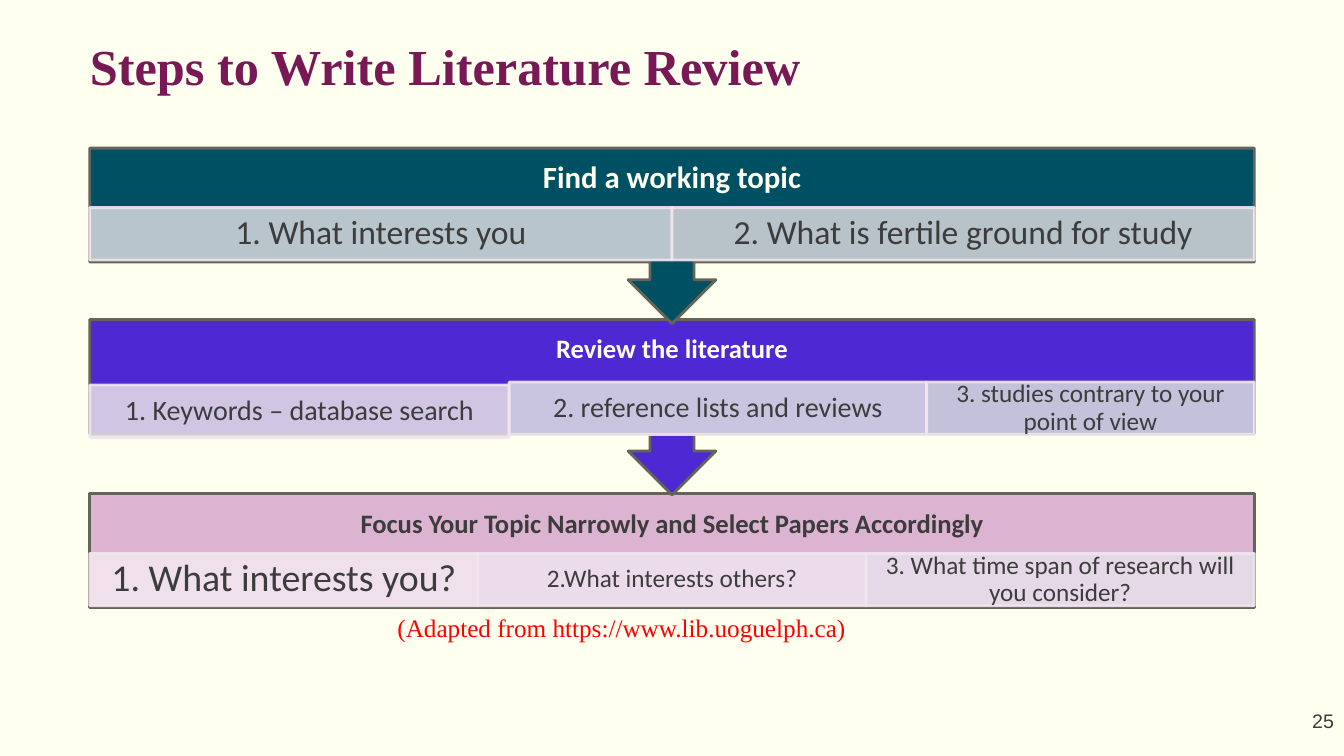
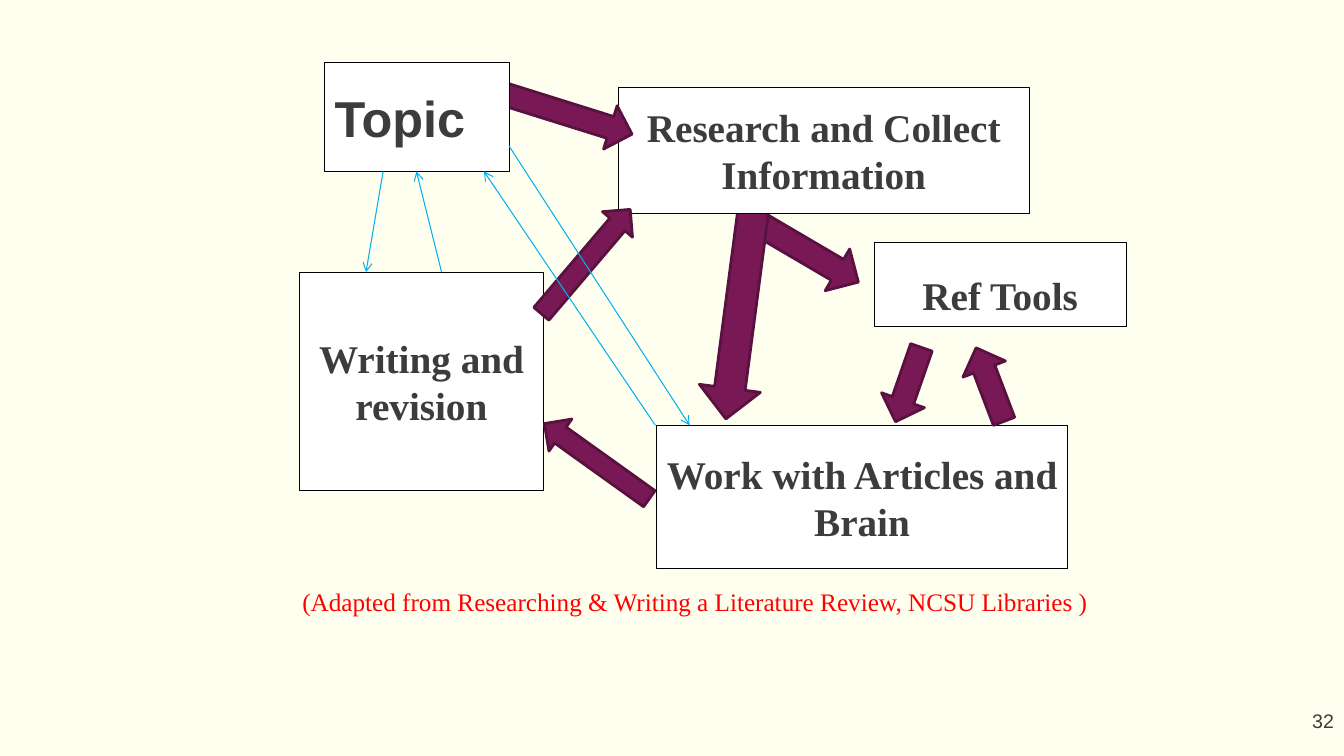
import pptx
import pptx.util
import pptx.dml.color
import pptx.enum.shapes
import pptx.enum.text
import pptx.oxml
import pptx.oxml.ns

Inches = pptx.util.Inches
Pt = pptx.util.Pt
RGBColor = pptx.dml.color.RGBColor
SHAPE = pptx.enum.shapes.MSO_SHAPE
ALIGN = pptx.enum.text.PP_ALIGN
ANCHOR = pptx.enum.text.MSO_ANCHOR
qn = pptx.oxml.ns.qn

IVORY = RGBColor(0xFF, 0xFF, 0xF0)
PLUM = RGBColor(0x78, 0x19, 0x55)
DARK_PLUM = RGBColor(0x59, 0x12, 0x3F)
CHARCOAL = RGBColor(0x3C, 0x3C, 0x3C)
GREY = RGBColor(0x64, 0x64, 0x5A)
TEAL = RGBColor(0x00, 0x50, 0x64)
VIOLET = RGBColor(0x4E, 0x28, 0xD2)
PINK = RGBColor(0xDC, 0xB4, 0xD2)
PALE_PINK = RGBColor(0xF2, 0xE5, 0xEE)
RED = RGBColor(0xFF, 0x00, 0x00)
SKY = RGBColor(0x00, 0xB0, 0xF0)
WHITE = RGBColor(0xFF, 0xFF, 0xFF)
BLACK = RGBColor(0x00, 0x00, 0x00)
SERIF, SANS, BODY = "Times New Roman", "Arial", "Calibri"
LEFT, WIDTH = 0.89, 11.55


def add_shape(slide, kind, box, fill, line, line_width):
    shape = slide.shapes.add_shape(kind, *map(Inches, box))
    shape.shadow.inherit = False
    shape.fill.solid()
    shape.fill.fore_color.rgb = fill
    shape.line.color.rgb = line
    shape.line.width = Pt(line_width)
    return shape


def write(shape, text, size, font, color, bold=False, align=ALIGN.CENTER,
          anchor=ANCHOR.MIDDLE, spacing=1.0, insets=(0.1, 0.05)):
    """Fill a shape with one paragraph; insets are horizontal, vertical."""
    frame = shape.text_frame
    frame.word_wrap = True
    frame.vertical_anchor = anchor
    frame.margin_left = frame.margin_right = Inches(insets[0])
    frame.margin_top = frame.margin_bottom = Inches(insets[1])
    paragraph = frame.paragraphs[0]
    paragraph.alignment = align
    paragraph.line_spacing = spacing
    run = paragraph.add_run()
    run.text = text
    run.font.size = Pt(size)
    run.font.name = font
    run.font.bold = bold
    run.font.color.rgb = color


presentation = pptx.Presentation()
presentation.slide_width = Inches(13.33)
presentation.slide_height = Inches(7.5)
background = presentation.slide_master.background.fill
background.solid()
background.fore_color.rgb = IVORY

# Both slides: page number and source note
PAGES = [
    ("25", (2.44, 6.03, 7.45, 0.4), ALIGN.CENTER,
     "(Adapted from https://www.lib.uoguelph.ca)"),
    ("32", (2.9, 5.77, 8.27, 0.4), ALIGN.LEFT,
     "(Adapted from Researching & Writing a Literature Review, NCSU Libraries )"),
]
slides = []
for number, note_box, note_align, note in PAGES:
    slide = presentation.slides.add_slide(presentation.slide_layouts[6])
    number_box = slide.shapes.add_textbox(Inches(10.22), Inches(6.95), Inches(3.11), Inches(0.4))
    write(number_box, number, 14, SANS, CHARCOAL, align=ALIGN.RIGHT)
    note_shape = slide.shapes.add_textbox(*map(Inches, note_box))
    write(note_shape, note, 18, SERIF, RED, align=note_align, anchor=ANCHOR.TOP)
    slides.append(slide)
steps_slide, cycle_slide = slides

# Steps slide: three bands, drawn from the bottom up so each arrow overlaps the next band
title = steps_slide.shapes.add_textbox(Inches(LEFT), Inches(0.35), Inches(WIDTH), Inches(0.94))
write(title, "Steps to Write Literature Review", 36, SERIF, PLUM, bold=True,
      align=ALIGN.LEFT, anchor=ANCHOR.TOP, insets=(0, 0))

# Band: kind, top, height, fill, heading, heading size, heading color, cells
# Cell: top, width, fill, text, size
BANDS = [
    (SHAPE.RECTANGLE, 4.9, 1.13, PINK,
     "Focus Your Topic Narrowly and Select Papers Accordingly", 19, CHARCOAL, [
         (5.49, 3.85, PALE_PINK, "1. What interests you?", 27),
         (5.49, 3.85, RGBColor(0xEE, 0xE0, 0xEE), "2.What interests others?", 18),
         (5.49, 3.85, RGBColor(0xE6, 0xDC, 0xEA),
          "3. What time span of research will you consider?", 18)]),
    (SHAPE.DOWN_ARROW_CALLOUT, 3.17, 1.74, VIOLET,
     "Review the literature", 19, IVORY, [
         (3.82, 4.16, RGBColor(0xDF, 0xD8, 0xE6), "1. Keywords – database search", 20),
         (3.79, 4.14, RGBColor(0xD7, 0xD5, 0xE2), "2. reference lists and reviews", 20),
         (3.79, 3.25, RGBColor(0xD1, 0xD2, 0xDD),
          "3. studies contrary to your point of view", 18)]),
    (SHAPE.DOWN_ARROW_CALLOUT, 1.47, 1.74, TEAL,
     "Find a working topic", 22, IVORY, [
         (2.06, 5.775, RGBColor(0xCE, 0xD2, 0xD8), "1. What interests you", 24),
         (2.06, 5.775, RGBColor(0xCB, 0xD0, 0xD3), "2. What is fertile ground for study", 24)]),
]
for kind, top, height, fill, heading, heading_size, heading_color, cells in BANDS:
    add_shape(steps_slide, kind, (LEFT, top, WIDTH, height), fill, GREY, 2)
    heading_box = steps_slide.shapes.add_textbox(
        Inches(LEFT), Inches(top), Inches(WIDTH), Inches(0.61))
    write(heading_box, heading, heading_size, BODY, heading_color, bold=True,
          spacing=0.9, insets=(0.15, 0.15))
    cell_left = LEFT
    for cell_top, cell_width, cell_fill, text, size in cells:
        cell = add_shape(steps_slide, SHAPE.RECTANGLE,
                         (cell_left, cell_top, cell_width, 0.52), cell_fill, PALE_PINK, 2)
        for color in cell.element.spPr.iter(qn("a:srgbClr")):
            pptx.oxml.ns  # namespace helpers
            alpha = color.makeelement(qn("a:alpha"), {"val": "90000"})
            color.append(alpha)
        write(cell, text, size, BODY, CHARCOAL, spacing=0.9, insets=(0.15, 0.03))
        cell_left += cell_width

# Cycle slide, back to front: (box, label) for boxes, (box, rotation) for block arrows
CYCLE = [
    ((7.34, 2.24, 1.26, 0.48), 30.4),
    ((6.26, 2.78, 2.16, 0.61), 97.5),
    ((2.97, 2.7, 2.42, 2.17), "Writing and revision"),
    ((8.67, 2.41, 2.5, 0.83), "Ref Tools"),
    ((6.51, 4.22, 4.08, 1.42), "Work with Articles and Brain"),
    ((6.13, 0.87, 4.08, 1.25), "Research and Collect Information"),
    ((5.28, 4.38, 1.28, 0.39), 215.6),
    ((4.92, 0.9, 1.38, 0.45), 17.4),
    ((3.22, 0.62, 1.83, 1.08), "Topic"),
    ((8.62, 3.59, 0.78, 0.45), 109.2),
    ((9.43, 3.59, 0.78, 0.45), 249.2),
    ((5.13, 2.4, 1.36, 0.39), 310.4),
]
for box, content in CYCLE:
    if not isinstance(content, str):
        arrow = add_shape(cycle_slide, SHAPE.RIGHT_ARROW, box, PLUM, DARK_PLUM, 2)
        arrow.rotation = content
        continue
    shape = add_shape(cycle_slide, SHAPE.RECTANGLE, box, WHITE, BLACK, 0.75)
    if content == "Topic":
        write(shape, content, 36, SANS, CHARCOAL, bold=True, align=ALIGN.LEFT)
    else:
        write(shape, content, 28, SERIF, CHARCOAL, bold=True)
    if content == "Ref Tools":
        shape.text_frame.margin_top = Inches(0.25)

THIN_ARROWS = [
    ((6.5, 4.22), (4.8, 1.7)),
    ((3.8, 1.7), (3.63, 2.7)),
    ((4.38, 2.7), (4.13, 1.7)),
    ((5.05, 1.45), (6.84, 4.22)),
]
for start, end in THIN_ARROWS:
    connector = cycle_slide.shapes.add_connector(
        pptx.enum.shapes.MSO_CONNECTOR.STRAIGHT, *map(Inches, start + end))
    connector.line.color.rgb = SKY
    connector.line.width = Pt(0.75)
    line = connector.line._get_or_add_ln()
    line.append(line.makeelement(qn("a:tailEnd"), {"type": "arrow"}))
    properties = connector.element.spPr
    properties.append(properties.makeelement(qn("a:effectLst"), {}))

presentation.save("out.pptx")
